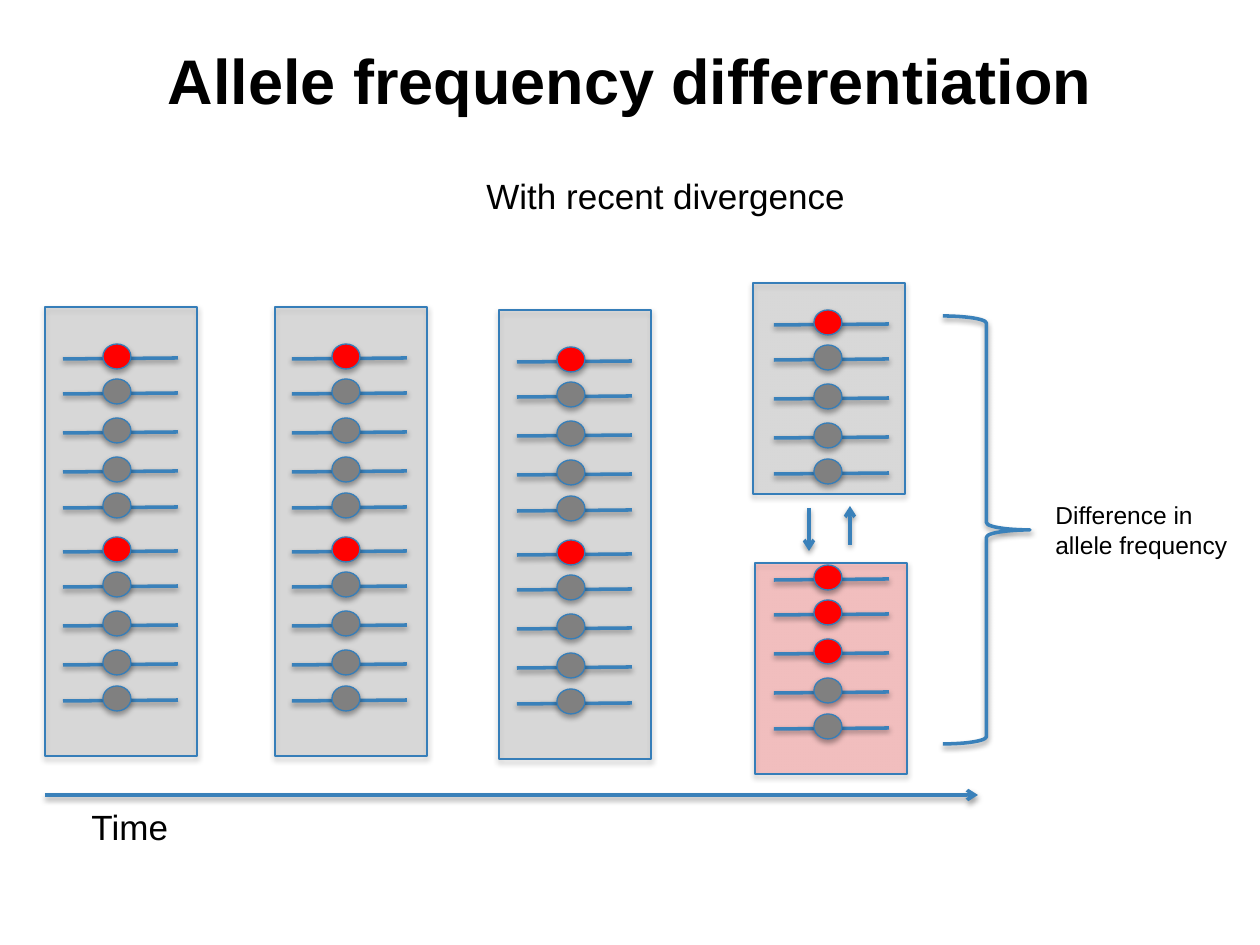
import pptx
import pptx.util
from lxml import etree
from pptx.dml.color import RGBColor
from pptx.enum.shapes import MSO_CONNECTOR, MSO_SHAPE
from pptx.enum.text import MSO_ANCHOR, MSO_AUTO_SIZE, PP_ALIGN
from pptx.oxml.ns import qn

PX = 914400 / 126  # EMU per px

THEME = {
    "font": "Arial", "text": "000000",
    "title": 36, "label": 20, "note": 14,
    "grey": "808080", "red": "FF0000",
    "outline": "367EB9", "strand": "3A81BA", "shadow": "000000",
    "thin": 0.75, "thick": 2,
}

# Content: text as (lines, size, left, top, width, height)
TITLE = "Allele frequency differentiation"
LABELS = [
    (["With recent divergence"], "label", 474, 168, 387, 55),
    (["Time"], "label", 79, 799, 105, 55),
    (["Difference in", "allele frequency"], "note", 1043, 494, 200, 72),
]

# Populations: left, top, height, tint, strand left, [(first strand y, alleles)]
ANCESTRAL, DERIVED = "RGGGG", "RRRGG"  # R = red allele, G = grey allele
POPULATIONS = [
    (45, 307, 449, "grey", 63, [(359, ANCESTRAL), (552, ANCESTRAL)]),
    (275, 307, 449, "grey", 292, [(359, ANCESTRAL), (552, ANCESTRAL)]),
    (499, 310, 449, "grey", 517, [(362, ANCESTRAL), (555, ANCESTRAL)]),
    (753, 283, 211, "grey", 774, [(325, ANCESTRAL)]),
    (755, 563, 211, "red", 774, [(580, DERIVED)]),
]
POPULATION_W = 152
STRAND_STEPS = [0, 35, 74, 113, 149]
STRAND_W, STRAND_RISE = 115, 1
ALLELE_W, ALLELE_H, ALLELE_DX, ALLELE_DY = 28, 25, 40, -15

# Arrows: x1, y1, x2, y2
MIGRATION = [(809, 508, 809, 551), (850, 545, 850, 506)]
TIMELINE = (45, 795, 978, 795)
BRACE = (943, 316, 87, 428)


def emu(*px):
    return [round(v * PX) for v in px]


def rgb(name):
    return RGBColor.from_string(THEME[name])


def add_shadow(sp, dist, alpha):
    effects = etree.SubElement(sp._element.spPr, qn("a:effectLst"))
    shadow = etree.SubElement(effects, qn("a:outerShdw"), blurRad="40000",
                              dist=str(dist), dir="5400000", rotWithShape="0")
    color = etree.SubElement(shadow, qn("a:srgbClr"), val=THEME["shadow"])
    etree.SubElement(color, qn("a:alpha"), val=str(alpha * 1000))


def set_line(sp, color, width):
    sp.line.color.rgb = rgb(color)
    sp.line.width = pptx.util.Pt(THEME[width])


def add_filled(s, kind, box, fill, opacity=None):
    sp = s.shapes.add_shape(kind, *emu(*box))
    sp.fill.solid()
    sp.fill.fore_color.rgb = rgb(fill)
    if opacity:
        color = sp._element.spPr.find(qn("a:solidFill"))[0]
        etree.SubElement(color, qn("a:alpha"), val=str(opacity * 1000))
    set_line(sp, "outline", "thin")
    add_shadow(sp, 23000, 35)


def add_line(s, ends, arrow=False):
    sp = s.shapes.add_connector(MSO_CONNECTOR.STRAIGHT, *emu(*ends))
    set_line(sp, "strand", "thick")
    if arrow:
        etree.SubElement(sp.line._get_or_add_ln(), qn("a:tailEnd"), type="arrow")
    add_shadow(sp, 20000, 38)


def add_text(s, lines, size, box, wrap=False):
    tf = s.shapes.add_textbox(*emu(*box)).text_frame
    tf.word_wrap = wrap
    tf.auto_size = MSO_AUTO_SIZE.NONE if wrap else MSO_AUTO_SIZE.SHAPE_TO_FIT_TEXT
    tf.text = "\n".join(lines)
    for p in tf.paragraphs:
        p.font.name = THEME["font"]
        p.font.size = pptx.util.Pt(THEME[size])
        p.font.color.rgb = rgb("text")
    return tf


def add_strands(s, left, top, alleles):
    for step, allele in zip(STRAND_STEPS, alleles):
        y = top + step
        add_line(s, (left, y, left + STRAND_W, y - STRAND_RISE))
        add_filled(s, MSO_SHAPE.OVAL,
                   (left + ALLELE_DX, y + ALLELE_DY, ALLELE_W, ALLELE_H),
                   "red" if allele == "R" else "grey")


def main():
    prs = pptx.Presentation()
    prs.slide_width, prs.slide_height = emu(1260, 945)
    s = prs.slides.add_slide(prs.slide_layouts[6])

    # Title and labels
    tf = add_text(s, [TITLE], "title", (63, 0, 1134, 158), wrap=True)
    tf.vertical_anchor = MSO_ANCHOR.MIDDLE
    tf.margin_top = tf.margin_bottom = pptx.util.Inches(0.1)
    tf.paragraphs[0].alignment = PP_ALIGN.CENTER
    tf.paragraphs[0].font.bold = True
    for lines, size, *box in LABELS:
        add_text(s, lines, size, box)

    # Populations with their strands
    for left, top, height, tint, strand_left, groups in POPULATIONS:
        add_filled(s, MSO_SHAPE.RECTANGLE, (left, top, POPULATION_W, height),
                   tint, opacity=20)
        for strand_top, alleles in groups:
            add_strands(s, strand_left, strand_top, alleles)

    # Migration arrows and time axis
    for ends in [*MIGRATION, TIMELINE]:
        add_line(s, ends, arrow=True)

    # Brace over the two diverged populations
    brace = s.shapes.add_shape(MSO_SHAPE.RIGHT_BRACE, *emu(*BRACE))
    brace.fill.background()
    set_line(brace, "strand", "thick")
    add_shadow(brace, 20000, 38)

    prs.save("out.pptx")


if __name__ == "__main__":
    main()
